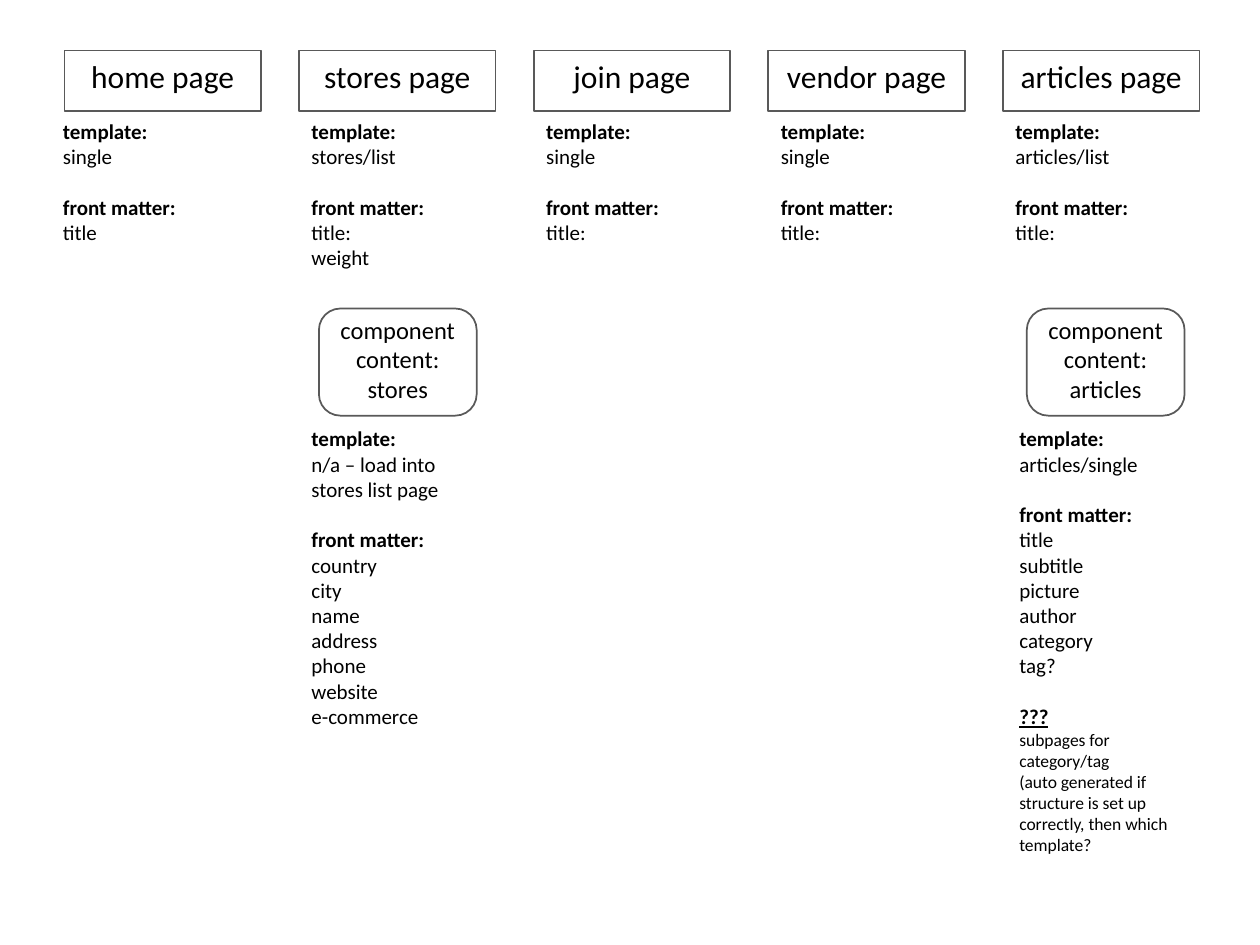
from dataclasses import dataclass

from pptx import Presentation
from pptx.dml.color import RGBColor
from pptx.enum.shapes import MSO_SHAPE
from pptx.enum.text import MSO_ANCHOR, MSO_AUTO_SIZE, PP_ALIGN
from pptx.util import Cm, Pt

RECTANGLE = MSO_SHAPE.RECTANGLE
ROUNDED = MSO_SHAPE.ROUNDED_RECTANGLE
TOP = MSO_ANCHOR.TOP
CENTER = PP_ALIGN.CENTER
GROW = MSO_AUTO_SIZE.SHAPE_TO_FIT_TEXT

BLACK = RGBColor(0x00, 0x00, 0x00)
GRAY = RGBColor(0x59, 0x59, 0x59)
FONT = "Calibri"
SECTION_GAP = Pt(14.6)

FIRST_LEFT, PAGE_PITCH = 1.3, 4.73
PAGE_TOP, PAGE_WIDTH, PAGE_HEIGHT = 1.02, 3.96, 1.22
SUMMARY_TOP, SUMMARY_WIDTH = 2.26, 2.82
COMPONENT_TOP, COMPONENT_INDENT = 6.22, 0.4
COMPONENT_WIDTH, COMPONENT_HEIGHT = 3.18, 2.16
DETAILS_TOP = 8.46


@dataclass
class Section:
    heading: str
    entries: list
    size: int = 12
    underline: bool = False


@dataclass
class Component:
    name: str
    sections: list
    height: float
    shift: float = 0


@dataclass
class Page:
    name: str
    template: str
    fields: list
    height: float = 2.82
    shift: float = 0
    component: Component = None


PAGES = [
    Page("home page", "single", ["title"], 3.84, -0.28),
    Page("stores page", "stores/list", ["title:", "weight"], 3.33,
         component=Component("stores", [
             Section("template:", ["n/a – load into stores list page"]),
             Section("front matter:", ["country", "city", "name", "address",
                                       "phone", "website", "e-commerce"]),
         ], 6.93)),
    Page("join page", "single", ["title:"]),
    Page("vendor page", "single", ["title:"]),
    Page("articles page", "articles/list", ["title:"],
         component=Component("articles", [
             Section("template:", ["articles/single"]),
             Section("front matter:", ["title", "subtitle", "picture",
                                       "author", "category", "tag?"]),
             Section("???", [
                 "subpages for category/tag",
                 "(auto generated if structure is set up correctly, "
                 "then which template?",
             ], 10, True),
         ], 8.97, 0.08)),
]


def add_line(frame, text, size, bold=False, underline=False):
    first = frame.paragraphs[0]
    paragraph = frame.add_paragraph() if first.runs else first
    run = paragraph.add_run()
    run.text = text
    run.font.name = FONT
    run.font.size = Pt(size)
    run.font.bold = bold
    run.font.underline = underline
    run.font.color.rgb = BLACK
    return paragraph


def add_label(slide, kind, left, top, width, height, lines, size):
    label = slide.shapes.add_shape(kind, Cm(left), Cm(top), Cm(width), Cm(height))
    label.shadow.inherit = False
    label.fill.background()
    label.line.color.rgb = GRAY
    label.line.width = Pt(1)
    frame = label.text_frame
    frame.word_wrap = False
    frame.vertical_anchor = TOP
    for line in lines:
        add_line(frame, line, size).alignment = CENTER
    return label


def add_sections(slide, left, top, width, height, sections, wrap):
    box = slide.shapes.add_textbox(Cm(left), Cm(top), Cm(width), Cm(height))
    frame = box.text_frame
    frame.word_wrap = wrap
    frame.auto_size = GROW
    for index, section in enumerate(sections):
        heading = add_line(frame, section.heading, 12, True, section.underline)
        if index:
            heading.space_before = SECTION_GAP
        for entry in section.entries:
            add_line(frame, entry, section.size)


def add_component(slide, left, component):
    left += component.shift
    label = add_label(slide, ROUNDED, left + COMPONENT_INDENT, COMPONENT_TOP,
                      COMPONENT_WIDTH, COMPONENT_HEIGHT,
                      ["component", "content:", component.name], 14)
    label.adjustments[0] = 0.2
    label.text_frame.margin_top = Cm(0)
    add_sections(slide, left, DETAILS_TOP, PAGE_WIDTH, component.height,
                 component.sections, True)


def add_page(slide, left, page):
    add_label(slide, RECTANGLE, left, PAGE_TOP, PAGE_WIDTH, PAGE_HEIGHT,
              [page.name], 18)
    sections = [Section("template:", [page.template]),
                Section("front matter:", page.fields)]
    add_sections(slide, left + page.shift, SUMMARY_TOP, SUMMARY_WIDTH,
                 page.height, sections, False)
    if page.component:
        add_component(slide, left, page.component)


deck = Presentation()
deck.slide_width = Cm(25.4)
deck.slide_height = Cm(19.05)
site_map = deck.slides.add_slide(deck.slide_layouts[6])
for column, page in enumerate(PAGES):
    add_page(site_map, FIRST_LEFT + column * PAGE_PITCH, page)
deck.save("out.pptx")
